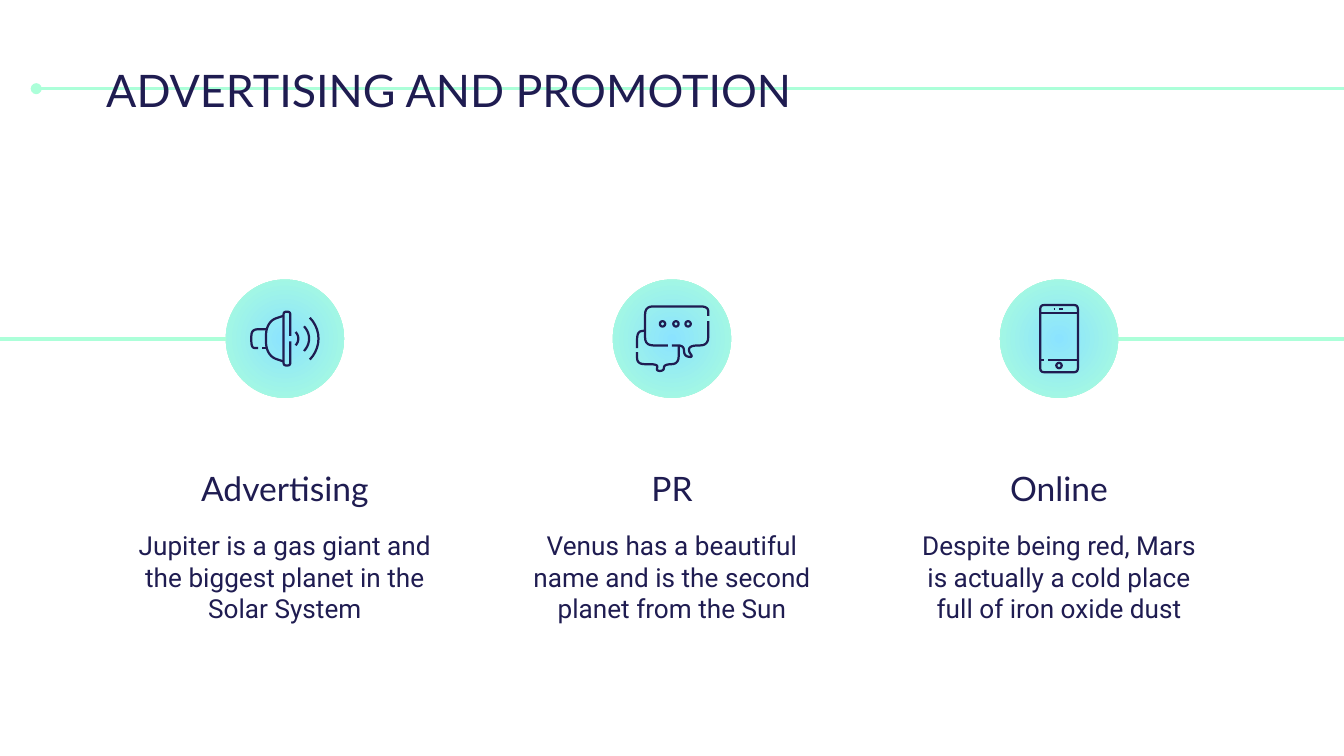
from math import cos, dist, radians, sin

from lxml import etree
from pptx import Presentation
from pptx.dml.color import RGBColor
from pptx.enum.shapes import MSO_CONNECTOR, MSO_SHAPE
from pptx.enum.text import MSO_ANCHOR, MSO_AUTO_SIZE, PP_ALIGN
from pptx.oxml.ns import qn
from pptx.util import Inches, Pt

NAVY = RGBColor(0x1F, 0x1C, 0x51)
MINT = RGBColor(0xAC, 0xFF, 0xD9)
SKY = RGBColor(0x8B, 0xE3, 0xFF)

BADGE = 0.88
BADGE_TOP = 2.08
COLUMN_WIDTH = 2.42
COLUMN_LEFT, COLUMN_STEP = 0.91, 2.88
ICON_STROKE = 1.2


def add_line(slide, start, end, color, width):
    line = slide.shapes.add_connector(
        MSO_CONNECTOR.STRAIGHT, *(Inches(v) for v in (*start, *end)))
    line.line.color.rgb = color
    line.line.width = Pt(width)
    etree.SubElement(line._element.spPr, qn("a:effectLst"))
    return line


def add_ring(slide, x, y, radius):
    ring = slide.shapes.add_shape(
        MSO_SHAPE.OVAL, Inches(x - radius), Inches(y - radius),
        Inches(2 * radius), Inches(2 * radius))
    ring.shadow.inherit = False
    ring.fill.background()
    ring.line.color.rgb = NAVY
    ring.line.width = Pt(ICON_STROKE)


def round_corners(points, radius):
    """Replace each inner corner of a polyline with a short curve."""
    rounded = [points[0]]
    for before, corner, after in zip(points, points[1:], points[2:]):
        cut = [min(radius / dist(corner, p), 0.5) for p in (before, after)]
        a, b = (tuple(c + (q - c) * k for c, q in zip(corner, p))
                for p, k in zip((before, after), cut))
        for t in (0, 0.2, 0.4, 0.6, 0.8, 1):
            rounded.append(tuple(
                (1 - t) ** 2 * p + 2 * t * (1 - t) * c + t ** 2 * q
                for p, c, q in zip(a, corner, b)))
    return rounded + [points[-1]]


def add_stroke(slide, x, y, points, radius=0.0):
    """Draw an open polyline whose points are offsets from (x, y)."""
    placed = [(x + dx, y + dy) for dx, dy in points]
    if len(placed) == 2:
        add_line(slide, *placed, NAVY, ICON_STROKE)
        return
    if radius:
        placed = round_corners(placed, radius)
    start, *rest = [(Inches(px), Inches(py)) for px, py in placed]
    builder = slide.shapes.build_freeform(*start)
    builder.add_line_segments(rest, close=False)
    stroke = builder.convert_to_shape()
    stroke.shadow.inherit = False
    stroke.fill.background()
    stroke.line.color.rgb = NAVY
    stroke.line.width = Pt(ICON_STROKE)


def draw_megaphone(slide, x, y):
    rim = [(0.04, -0.02), (0.04, -0.2), (-0.01, -0.2),
           (-0.01, 0.2), (0.04, 0.2), (0.04, 0.02)]
    cone = [(-0.01, -0.17), (-0.1, -0.14), (-0.14, -0.07),
            (-0.14, 0.07), (-0.1, 0.14), (-0.01, 0.17)]
    handle = [(-0.14, -0.07), (-0.25, -0.07), (-0.25, 0.07), (-0.2, 0.07)]
    add_stroke(slide, x, y, rim, 0.02)
    add_stroke(slide, x, y, cone, 0.04)
    add_stroke(slide, x, y, handle, 0.05)
    add_stroke(slide, x, y, [(-0.17, 0.07), (-0.14, 0.07)])
    for peak, radius in ((0.1, 0.07), (0.18, 0.13), (0.25, 0.22)):
        wave = [(peak - radius + radius * cos(radians(a)),
                 radius * sin(radians(a))) for a in range(-45, 46, 9)]
        add_stroke(slide, x, y, wave)


def draw_chat(slide, x, y):
    front_top = [(0.27, -0.17), (0.27, -0.24), (-0.2, -0.24),
                 (-0.2, 0.05), (-0.03, 0.05)]
    front_tail = [(0.27, -0.13), (0.27, 0.05), (0.14, 0.05), (0.12, 0.09),
                  (0.16, 0.14), (0.09, 0.13), (0.09, 0.05), (0, 0.05)]
    back_top = [(-0.2, -0.06), (-0.26, -0.05), (-0.26, 0.07)]
    back_tail = [(-0.26, 0.1), (-0.26, 0.19), (-0.1, 0.19), (-0.12, 0.24),
                 (-0.06, 0.24), (-0.06, 0.19), (0.05, 0.19), (0.05, 0.05)]
    for outline in (front_top, front_tail, back_top, back_tail):
        add_stroke(slide, x, y, outline, 0.06)
    for dx in (-0.07, 0.03, 0.12):
        add_ring(slide, x + dx, y - 0.11, 0.02)


def draw_phone(slide, x, y):
    body = [(0, -0.25), (0.14, -0.25), (0.14, 0.25),
            (-0.14, 0.25), (-0.14, -0.25), (0, -0.25)]
    add_stroke(slide, x, y, body, 0.03)
    for left, right, dy in ((-0.14, 0.14, -0.19), (-0.14, -0.11, 0.16),
                            (-0.08, 0.14, 0.16), (0, 0.03, -0.22),
                            (-0.04, -0.03, -0.22)):
        add_stroke(slide, x, y, [(left, dy), (right, dy)])
    add_ring(slide, x, y + 0.2, 0.02)


def add_badge(slide, x, y):
    badge = slide.shapes.add_shape(
        MSO_SHAPE.OVAL, Inches(x - BADGE / 2), Inches(y - BADGE / 2),
        Inches(BADGE), Inches(BADGE))
    badge.shadow.inherit = False
    badge.line.fill.background()
    badge.fill.gradient()
    for stop, color in zip(badge.fill.gradient_stops, (SKY, MINT)):
        stop.color.rgb = color
    gradient = badge._element.spPr.find(qn("a:gradFill"))
    gradient.remove(gradient.find(qn("a:lin")))
    radial = etree.SubElement(gradient, qn("a:path"), path="circle")
    etree.SubElement(radial, qn("a:fillToRect"),
                     l="50000", t="50000", r="50000", b="50000")


def set_text(holder, box, text, font, size, align, anchor=MSO_ANCHOR.TOP):
    holder.left, holder.top, holder.width, holder.height = map(Inches, box)
    frame = holder.text_frame
    frame.word_wrap = True
    frame.auto_size = MSO_AUTO_SIZE.NONE
    frame.vertical_anchor = anchor
    frame.margin_left = frame.margin_right = Inches(0.1)
    frame.margin_top = frame.margin_bottom = Inches(0.1)
    paragraph = frame.paragraphs[0]
    paragraph.alignment = align
    paragraph.space_before = Pt(0)
    run = paragraph.add_run()
    run.text = text
    run.font.name = font
    run.font.size = Pt(size)
    run.font.bold = False
    run.font.color.rgb = NAVY
    return paragraph


def add_header(slide, box):
    rule = add_line(slide, (0.27, 0.66), (10.1, 0.66), MINT, 1.5)
    etree.SubElement(rule.line._get_or_add_ln(), qn("a:headEnd"), type="oval")
    rule._element.getparent().insert(2, rule._element)
    set_text(slide.shapes.title, box, "ADVERTISING AND PROMOTION",
             "Lato", 24, PP_ALIGN.LEFT)


def add_channel(slide, left, body, heading, description, draw_icon):
    """Fill one column: icon badge, heading and description."""
    paragraph = set_text(body, (left, 3.84, COLUMN_WIDTH, 1.26), description,
                         "Roboto", 14, PP_ALIGN.CENTER)
    paragraph.space_after = Pt(16)
    properties = paragraph._p.get_or_add_pPr()
    properties.set("marL", "0")
    properties.set("indent", "0")
    etree.SubElement(properties, qn("a:buNone"))
    set_text(slide.shapes.add_textbox(0, 0, 0, 0),
             (left, 3.29, COLUMN_WIDTH, 0.59), heading,
             "Lato", 18, PP_ALIGN.CENTER, MSO_ANCHOR.BOTTOM)
    center = left + COLUMN_WIDTH / 2, BADGE_TOP + BADGE / 2
    add_badge(slide, *center)
    draw_icon(slide, *center)


def main():
    channels = [
        ("Advertising", "Jupiter is a gas giant and the biggest planet "
         "in the Solar System", draw_megaphone),
        ("PR", "Venus has a beautiful name and is the second planet "
         "from the Sun", draw_chat),
        ("Online", "Despite being red, Mars is actually a cold place "
         "full of iron oxide dust", draw_phone),
    ]
    deck = Presentation()
    deck.slide_width = Inches(10)
    deck.slide_height = deck.slide_width * 9 // 16
    slide = deck.slides.add_slide(deck.slide_layouts.get_by_name("Comparison"))
    _, *bodies, spare = slide.placeholders
    spare._element.getparent().remove(spare._element)

    add_header(slide, (0.69, 0.37, 6.65, 0.59))
    for column, (body, channel) in enumerate(zip(bodies, channels)):
        add_channel(slide, COLUMN_LEFT + column * COLUMN_STEP, body, *channel)
    middle = BADGE_TOP + BADGE / 2
    for start, end in ((1.68, -0.24), (8.32, 10.06)):
        add_line(slide, (start, middle), (end, middle), MINT, 2.25)
    deck.save("out.pptx")


if __name__ == "__main__":
    main()
